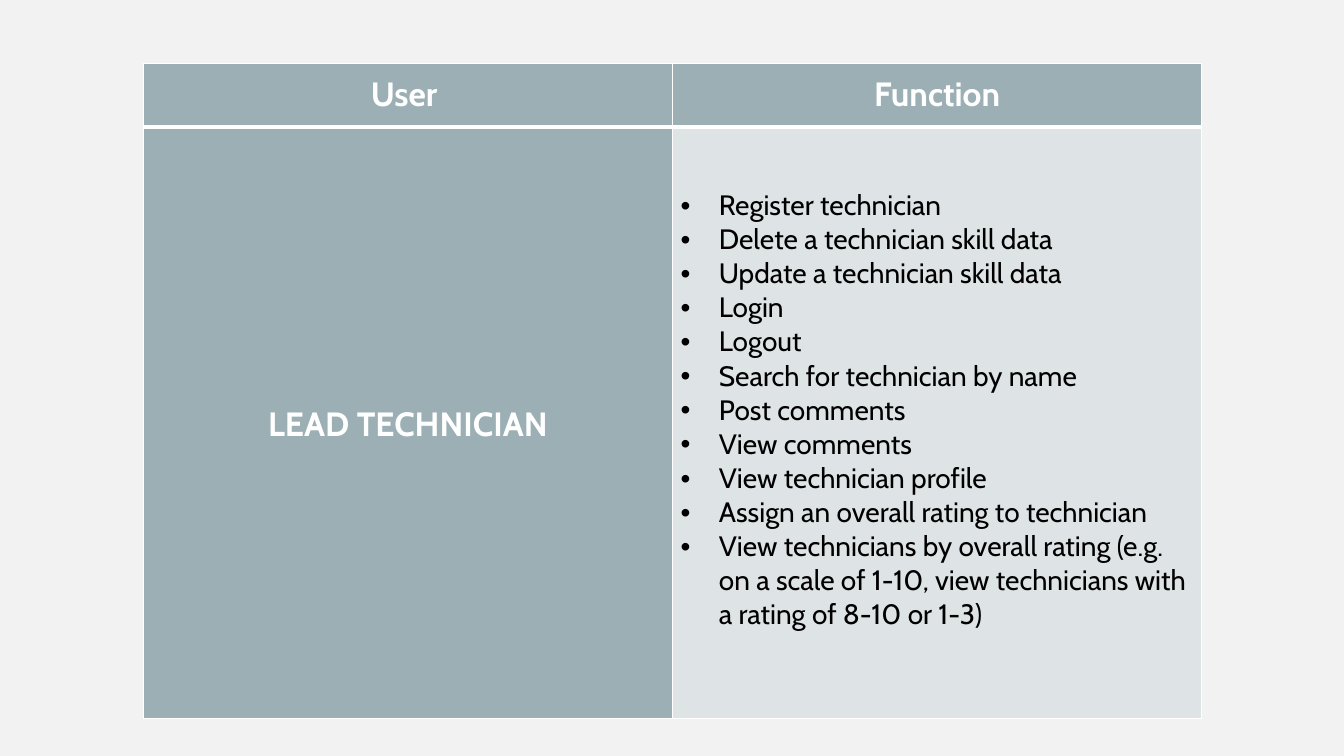
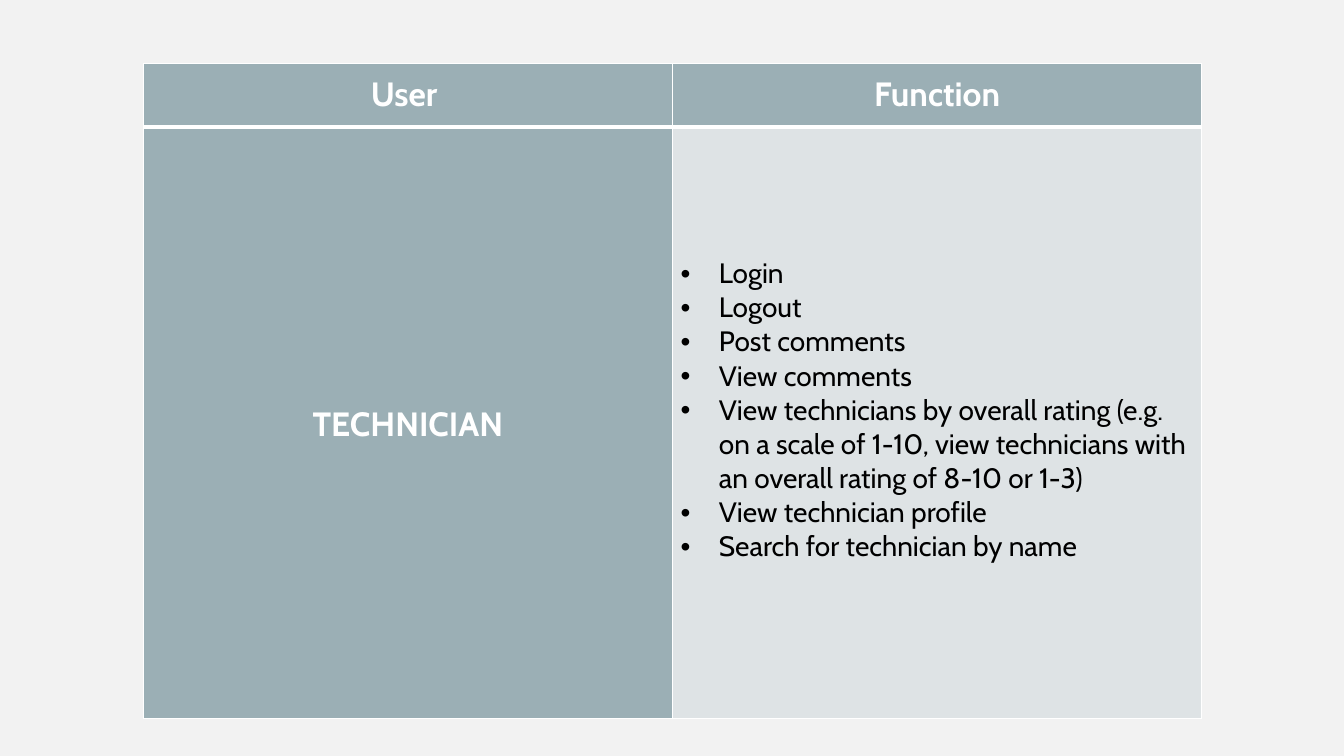
from dataclasses import dataclass

from pptx import Presentation
from pptx.dml.color import RGBColor
from pptx.enum.text import MSO_ANCHOR, PP_ALIGN
from pptx.oxml.ns import qn
from pptx.util import Inches, Pt
from lxml.etree import SubElement

HEADINGS = ("User ", "Function")
ROLES = [
    ("LEAD TECHNICIAN", [
        "Register technician",
        "Delete a technician skill data",
        "Update a technician skill data",
        "Login",
        "Logout",
        "Search for technician by name",
        "Post comments",
        "View comments",
        "View technician profile",
        "Assign an overall rating to technician",
        "View technicians by overall rating (e.g. on a scale of 1-10, "
        "view technicians with a rating of 8-10 or 1-3)",
    ]),
    ("TECHNICIAN", [
        "Login",
        "Logout",
        "Post comments",
        "View comments",
        "View technicians by overall rating (e.g. on a scale of 1-10, "
        "view technicians with an overall rating of 8-10 or 1-3)",
        "View technician profile",
        "Search for technician by name",
    ]),
]


@dataclass(frozen=True)
class Theme:
    font: str = "Cabin"
    background: str = "F2F2F2"
    accent: str = "9BAFB5"
    panel: str = "DEE3E5"
    light: str = "FFFFFF"
    dark: str = "000000"
    label_size: int = 24
    list_size: int = 20
    thin_rule: int = 1
    thick_rule: int = 3


THEME = Theme()
LABEL = {"size": Pt(THEME.label_size), "bold": True, "name": THEME.font}
ITEM = {"size": Pt(THEME.list_size), "bold": False, "name": THEME.font}

SLIDE_WIDTH, SLIDE_HEIGHT = Inches(13.33), Inches(7.5)
TABLE_LEFT, TABLE_TOP = Inches(1.42), Inches(0.63)
COLUMN_WIDTH = Inches(5.25)
ROW_HEIGHTS = (Inches(0.63), Inches(5.87))
CELL_MARGIN = Inches(0.08)
LIST_BOTTOM_MARGIN = Inches(0.33)
LIST_INDENT = Inches(0.38)


def set_format(target, values):
    for name, value in values.items():
        setattr(target, name, value)


def style_cell(cell, fill, top, bottom, bottom_margin=CELL_MARGIN):
    """Set margins, borders and then fill, in the order the schema asks for."""
    set_format(cell, {"margin_left": CELL_MARGIN, "margin_right": CELL_MARGIN,
                      "margin_top": CELL_MARGIN, "margin_bottom": bottom_margin})
    properties = cell._tc.get_or_add_tcPr()
    widths = {"lnL": THEME.thin_rule, "lnR": THEME.thin_rule, "lnT": top, "lnB": bottom}
    for side, width in widths.items():
        line = SubElement(properties, qn(f"a:{side}"), w=str(Pt(width)))
        paint = SubElement(line, qn("a:solidFill"))
        SubElement(paint, qn("a:srgbClr"), val=THEME.light)
    cell.fill.solid()
    cell.fill.fore_color.rgb = RGBColor.from_string(fill)


def add_text(para, text, font, color):
    span = para.add_run()
    span.text = text
    set_format(span.font, font)
    span.font.color.rgb = RGBColor.from_string(color)


def write_label(cell, text):
    para = cell.text_frame.paragraphs[0]
    set_format(para, {"alignment": PP_ALIGN.CENTER, "line_spacing": 1.07})
    add_text(para, text, LABEL, THEME.light)


def write_list(cell, items):
    frame = cell.text_frame
    for index, item in enumerate(items):
        para = frame.add_paragraph() if index else frame.paragraphs[0]
        properties = para._p.get_or_add_pPr()
        properties.set("marL", str(LIST_INDENT))
        properties.set("indent", str(-LIST_INDENT))
        SubElement(properties, qn("a:buFont"), typeface="Arial")
        SubElement(properties, qn("a:buChar"), char="•")
        add_text(para, item, ITEM, THEME.dark)


def add_role_page(deck, role, functions):
    page = deck.slides.add_slide(deck.slide_layouts[6])
    table = page.shapes.add_table(
        2, 2, TABLE_LEFT, TABLE_TOP, COLUMN_WIDTH * 2, sum(ROW_HEIGHTS)).table
    set_format(table, {"first_row": False, "horz_banding": False})
    for column in table.columns:
        column.width = COLUMN_WIDTH
    for row, height in zip(table.rows, ROW_HEIGHTS):
        row.height = height

    for column, heading in enumerate(HEADINGS):
        cell = table.cell(0, column)
        style_cell(cell, THEME.accent, THEME.thin_rule, THEME.thick_rule)
        write_label(cell, heading)

    role_cell, list_cell = table.cell(1, 0), table.cell(1, 1)
    style_cell(role_cell, THEME.accent, THEME.thick_rule, THEME.thin_rule)
    style_cell(list_cell, THEME.panel, THEME.thick_rule, THEME.thin_rule,
               LIST_BOTTOM_MARGIN)
    for cell in (role_cell, list_cell):
        cell.vertical_anchor = MSO_ANCHOR.MIDDLE
    write_label(role_cell, role)
    write_list(list_cell, functions)


def main():
    deck = Presentation()
    set_format(deck, {"slide_width": SLIDE_WIDTH, "slide_height": SLIDE_HEIGHT})
    backdrop = deck.slide_master.background.fill
    backdrop.solid()
    backdrop.fore_color.rgb = RGBColor.from_string(THEME.background)
    for role, functions in ROLES:
        add_role_page(deck, role, functions)
    deck.save("out.pptx")


if __name__ == "__main__":
    main()
